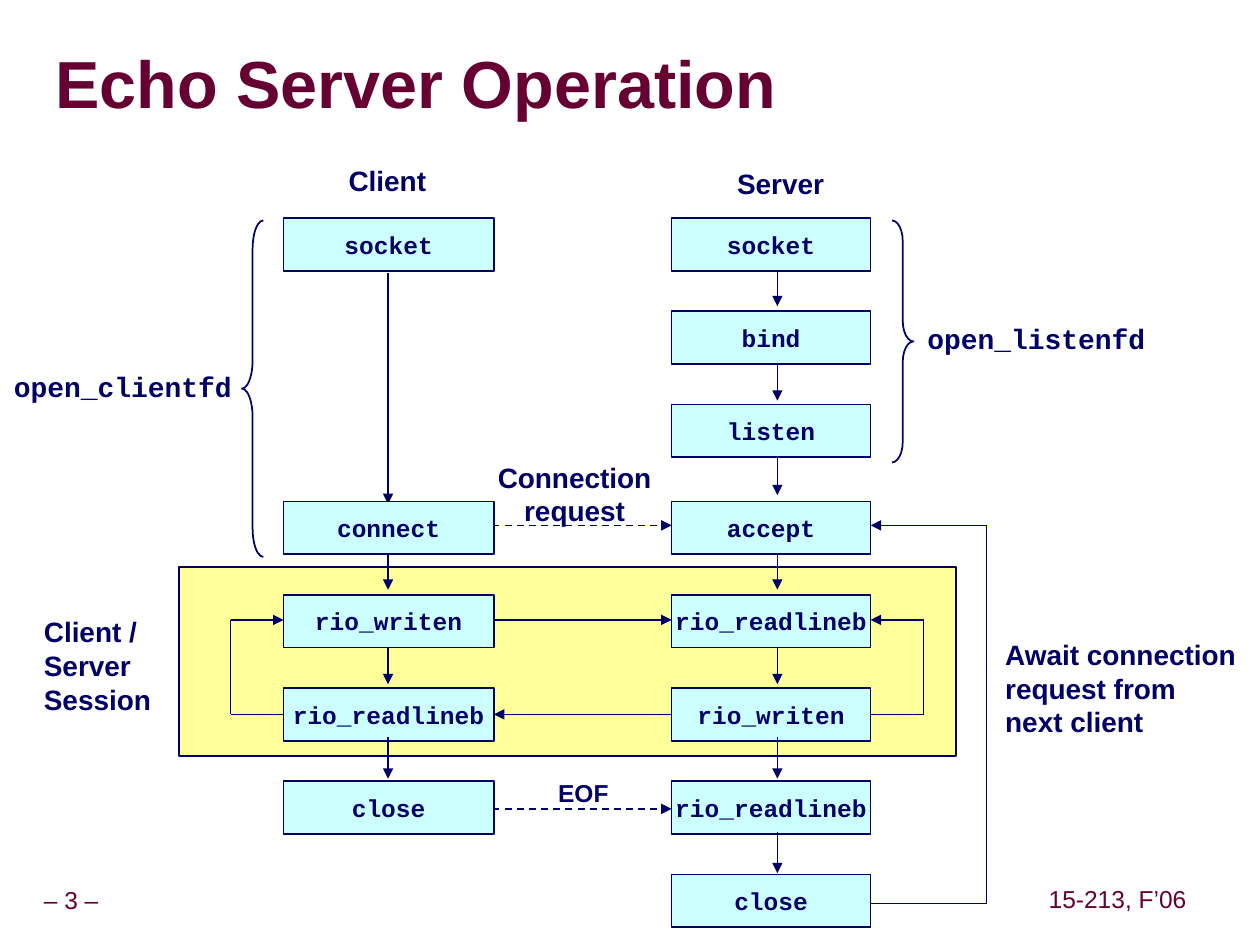
from dataclasses import dataclass
from itertools import pairwise

from lxml.etree import SubElement
from pptx import Presentation
from pptx.dml.color import RGBColor
from pptx.enum.dml import MSO_LINE
from pptx.enum.shapes import MSO_CONNECTOR, MSO_SHAPE
from pptx.enum.text import MSO_ANCHOR, MSO_AUTO_SIZE, PP_ALIGN
from pptx.oxml import parse_xml
from pptx.oxml.ns import nsdecls, qn
from pptx.util import Inches, Pt


@dataclass(frozen=True)
class Theme:
    ink: str = "000066"
    accent: str = "660033"
    box: str = "CCFFFF"
    band: str = "FFFF99"
    sans: str = "Arial"
    mono: str = "Courier New"
    title: int = 38
    label: int = 16
    small: int = 14
    line: float = 1


@dataclass(frozen=True)
class Bounds:
    left: float
    top: float
    width: float
    height: float

    def emu(self) -> list:
        return [Inches(v) for v in (self.left, self.top, self.width, self.height)]


@dataclass(frozen=True)
class Column:
    left: float
    width: float
    axis: float

    @property
    def right(self) -> float:
        return self.left + self.width


@dataclass(frozen=True)
class Step:
    column: Column
    row: int
    name: str


@dataclass(frozen=True)
class Label:
    bounds: Bounds
    lines: tuple
    size: int
    font: str = "Arial"
    color: str = "000066"
    bold: bool = True
    align: PP_ALIGN = PP_ALIGN.CENTER
    wrap: bool = False
    spacing: float = 1.0
    inset: float = 0.1


@dataclass(frozen=True)
class Route:
    points: tuple
    dashed: bool = False


@dataclass(frozen=True)
class Brace:
    kind: MSO_SHAPE
    bounds: Bounds
    curve: float


THEME = Theme()
CLIENT = Column(2.25, 1.67, 3.08)
SERVER = Column(5.33, 1.58, 6.17)
ROW_HEIGHT = 0.42


def row_top(row: int) -> float:
    return 1.73 + 0.74 * row + (0.03 if row >= 3 else 0)


def track(row: int) -> float:
    return 1.92 + 0.75 * row


def down(column: Column, row: int) -> Route:
    return Route(((column.axis, track(row) + 0.18), (column.axis, track(row) + 0.51)))


def across(start: float, end: float, row: int, dashed: bool = False) -> Route:
    return Route(((start, track(row)), (end, track(row))), dashed)


def loop(edge: float, outer: float, first: int, last: int) -> Route:
    low, high = track(last), track(first)
    return Route(((edge, low), (outer, low), (outer, high), (edge, high)))


STEPS = [
    Step(column, row, name)
    for column, rows in (
        (CLIENT, {0: "socket", 3: "connect", 4: "rio_writen", 5: "rio_readlineb", 6: "close"}),
        (SERVER, dict(enumerate(("socket", "bind", "listen", "accept", "rio_readlineb",
                                 "rio_writen", "rio_readlineb", "close")))),
    )
    for row, name in rows.items()
]
ROUTES_BEHIND = [
    loop(SERVER.right, 7.33, 4, 5),
    loop(CLIENT.left, 1.83, 4, 5),
    Route(((CLIENT.axis, 2.17), (CLIENT.axis, 4))),
    *(down(SERVER, row) for row in range(5)),
    *(down(CLIENT, row) for row in (3, 4)),
    across(3.33, SERVER.left, 3, True),
    across(CLIENT.right, SERVER.left, 4),
    across(SERVER.left, CLIENT.right, 5),
    across(3.33, SERVER.left, 6, True),
    loop(SERVER.right, 7.83, 3, 7),
]
ROUTES_FRONT = [down(CLIENT, 5), down(SERVER, 5), down(SERVER, 6)]
BRACES = [
    Brace(MSO_SHAPE.RIGHT_BRACE, Bounds(7.08, 1.75, 0.17, 1.92), 0.96),
    Brace(MSO_SHAPE.LEFT_BRACE, Bounds(1.92, 1.75, 0.17, 2.67), 1.33),
]
LABELS = [
    Label(Bounds(2.67, 1.25, 0.81, 0.37), ("Client",), THEME.label),
    Label(Bounds(5.75, 1.27, 0.89, 0.37), ("Server",), THEME.label),
    Label(Bounds(3.85, 3.6, 1.42, 0.64), ("Connection", "request"), THEME.label),
    Label(Bounds(4.33, 6.12, 0.6, 0.34), ("EOF",), THEME.small),
    Label(Bounds(0.25, 4.83, 1.08, 0.9), ("Client / Server", "Session"), THEME.label,
          align=PP_ALIGN.LEFT, wrap=True),
    Label(Bounds(7.88, 5.01, 2.03, 0.9), ("Await connection", "request from", "next client"),
          THEME.label, align=PP_ALIGN.LEFT),
    Label(Bounds(7.26, 2.5, 1.93, 0.37), ("open_listenfd",), THEME.label, THEME.mono),
    Label(Bounds(0.01, 2.88, 1.93, 0.37), ("open_clientfd",), THEME.label, THEME.mono),
    *(Label(bounds, (text,), THEME.small, color=THEME.accent, bold=False, spacing=0.9, inset=0.05)
      for bounds, text in ((Bounds(-0.09, 7, 1.31, 0.31), "– 3 –"),
                           (Bounds(8.27, 6.99, 1.2, 0.31), "15-213, F’06"))),
]


def write_text(shape, label: Label) -> None:
    frame = shape.text_frame
    frame.text = "\n".join(label.lines)
    frame.word_wrap = label.wrap
    frame.auto_size = MSO_AUTO_SIZE.NONE
    frame.vertical_anchor = MSO_ANCHOR.MIDDLE
    frame.margin_left = frame.margin_right = Inches(label.inset)
    frame.margin_top = frame.margin_bottom = Inches(min(label.inset, 0.05))
    for paragraph in frame.paragraphs:
        paragraph.alignment = label.align
        paragraph.line_spacing = label.spacing
        font = paragraph.font
        font.name, font.size, font.bold = label.font, Pt(label.size), label.bold
        font.color.rgb = RGBColor.from_string(label.color)


def set_line(line) -> None:
    line.color.rgb = RGBColor.from_string(THEME.ink)
    line.width = Pt(THEME.line)


def draw_rectangle(slide, bounds: Bounds, fill: str):
    shape = slide.shapes.add_shape(MSO_SHAPE.RECTANGLE, *bounds.emu())
    shape.shadow.inherit = False
    shape.fill.solid()
    shape.fill.fore_color.rgb = RGBColor.from_string(fill)
    set_line(shape.line)
    return shape


def draw_step(slide, step: Step) -> None:
    bounds = Bounds(step.column.left, row_top(step.row), step.column.width, ROW_HEIGHT)
    shape = draw_rectangle(slide, bounds, THEME.box)
    write_text(shape, Label(bounds, (step.name,), THEME.small, THEME.mono))


def draw_route(slide, route: Route) -> None:
    for start, end in pairwise(route.points):
        connector = slide.shapes.add_connector(
            MSO_CONNECTOR.STRAIGHT, *(Inches(value) for value in start + end))
        set_line(connector.line)
        if route.dashed:
            connector.line.dash_style = MSO_LINE.DASH
        if end == route.points[-1]:
            SubElement(connector.line._get_or_add_ln(), qn("a:tailEnd"), type="triangle")
        SubElement(connector._element.spPr, qn("a:effectLst"))


def draw_brace(slide, brace: Brace) -> None:
    shape = slide.shapes.add_shape(brace.kind, *brace.bounds.emu())
    shape.adjustments[0] = brace.curve
    shape.shadow.inherit = False
    shape.fill.background()
    set_line(shape.line)


def draw_title(slide) -> None:
    bounds = Bounds(0.44, 0.27, 9.53, 0.85)
    title = slide.shapes.title
    title.left, title.top, title.width, title.height = bounds.emu()
    write_text(title, Label(bounds, ("Echo Server Operation",), THEME.title, color=THEME.accent,
                            align=PP_ALIGN.LEFT, wrap=True, spacing=0.87, inset=0))
    properties = title.text_frame.paragraphs[0].runs[0]._r.get_or_add_rPr()
    properties.append(parse_xml(
        f'<a:effectLst {nsdecls("a")}><a:outerShdw dist="63500" dir="2700000">'
        '<a:srgbClr val="999999"/></a:outerShdw></a:effectLst>'))


def main() -> None:
    presentation = Presentation()
    presentation.slide_width, presentation.slide_height = Inches(10), Inches(7.5)
    slide = presentation.slides.add_slide(presentation.slide_layouts[5])
    draw_title(slide)
    draw_rectangle(slide, Bounds(1.42, 4.5, 6.17, 1.5), THEME.band)
    for route in ROUTES_BEHIND:
        draw_route(slide, route)
    for step in STEPS:
        draw_step(slide, step)
    for route in ROUTES_FRONT:
        draw_route(slide, route)
    for brace in BRACES:
        draw_brace(slide, brace)
    for label in LABELS:
        write_text(slide.shapes.add_textbox(*label.bounds.emu()), label)
    presentation.save("out.pptx")


if __name__ == "__main__":
    main()
